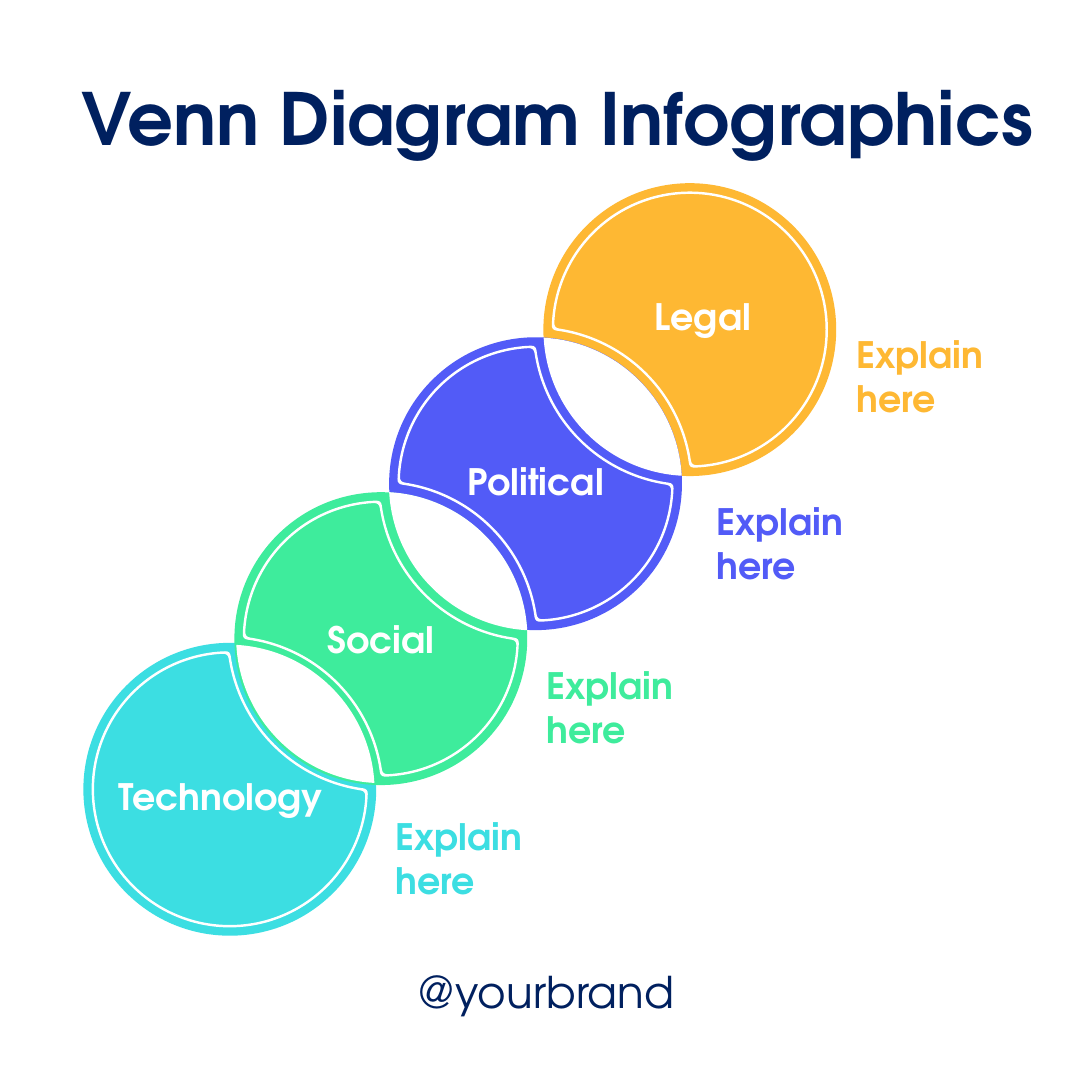
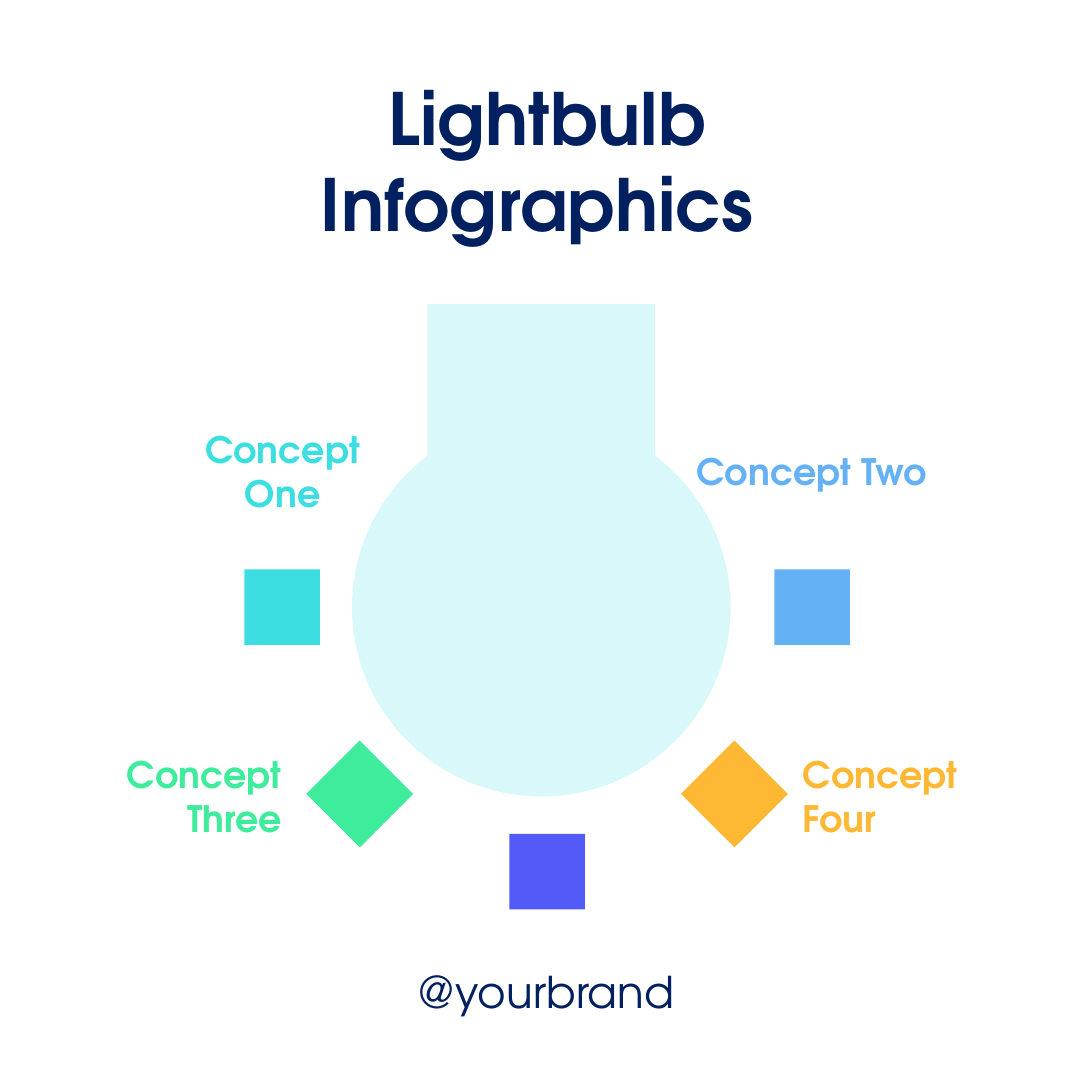
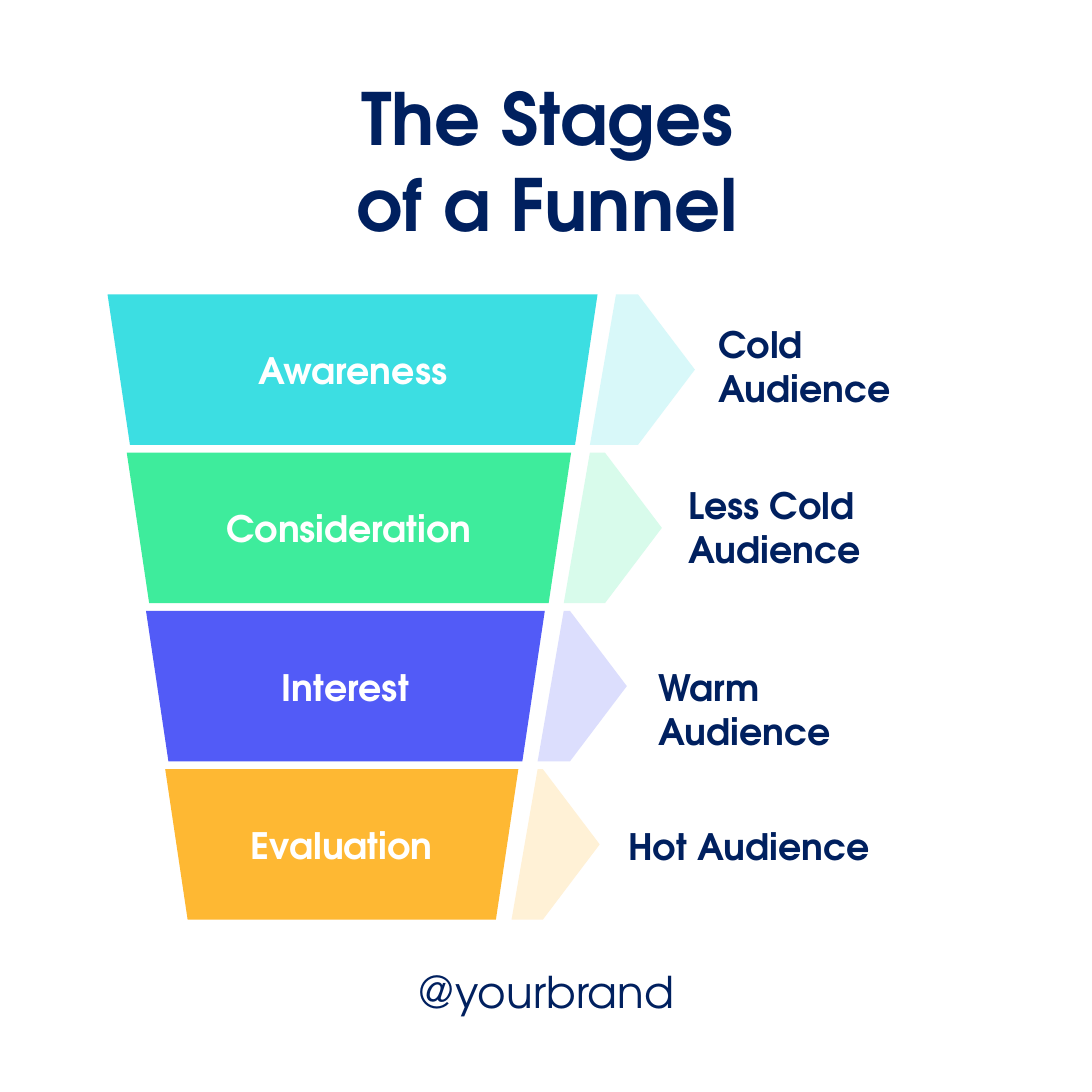
from dataclasses import dataclass
from math import acos, asin, atan2, ceil, cos, degrees, hypot, radians, sin, sqrt, tan

from pptx import Presentation
from pptx.dml.color import RGBColor
from pptx.enum.shapes import MSO_SHAPE as SHAPE
from pptx.enum.text import MSO_ANCHOR as ANCHOR, MSO_AUTO_SIZE as AUTO, PP_ALIGN as ALIGN
from pptx.oxml.ns import qn
from pptx.util import Pt

FONT = "TeX Gyre Adventor"
NAVY = RGBColor(0x00, 0x20, 0x5F)
WHITE = RGBColor(0xFF, 0xFF, 0xFF)
CYAN = RGBColor(0x3C, 0xDE, 0xE2)
GREEN = RGBColor(0x3E, 0xEC, 0x9C)
INDIGO = RGBColor(0x52, 0x5B, 0xF7)
AMBER = RGBColor(0xFE, 0xB8, 0x33)
SKY = RGBColor(0x65, 0xB1, 0xF5)
PALE_CYAN = RGBColor(0xD8, 0xF8, 0xF9)
PALE_GREEN = RGBColor(0xD8, 0xFB, 0xEB)
PALE_INDIGO = RGBColor(0xDC, 0xDE, 0xFD)
PALE_AMBER = RGBColor(0xFF, 0xF1, 0xD6)

SIDE = 540
TITLE_SIZE, LABEL_SIZE, FOOTER_SIZE = 35.6, 18, 21.6
LABEL_H = 29

Point = tuple[float, float]
# The first step holds the start; later ones hold one point (line) or three (curve).
Contour = list[tuple[Point, ...]]


@dataclass(frozen=True)
class Circle:
    name: str
    color: RGBColor
    center: Point
    name_at: Point  # middle of the top edge
    name_width: float
    note_at: Point  # top left corner
    cuts: tuple[int, ...]  # directions of the neighbours along the chain


@dataclass(frozen=True)
class Concept:
    text: str
    color: RGBColor
    center: Point
    turn: int = 0
    text_at: Point = (0, 0)
    align: ALIGN = ALIGN.CENTER


@dataclass(frozen=True)
class Stage:
    name: str
    audience: str
    color: RGBColor
    pale: RGBColor
    shoulder: float
    audience_top: float
    audience_height: float = 51


# Along the chain, 0 points to the lower left and -180 to the upper right.
CIRCLES = (
    Circle("Legal", AMBER, (341.1, 163), (347.5, 141.8), 63.4, (416.5, 160.6), (0,)),
    Circle("Political", INDIGO, (264.8, 239.2), (265, 223.5), 84.2, (347.3, 243.4), (-180, 0)),
    Circle("Social", GREEN, (188.3, 315.8), (188.4, 301.4), 69.1, (263.2, 324.3), (-180, 0)),
    Circle("Technology", CYAN, (113.6, 390.3), (109.1, 379.4), 117.4, (188.6, 399.1), (-180,)),
)
CHAIN_ANGLE = 135
RADIUS = 72.4
SPACING = 76.3 * sqrt(2)
INSET = 4.7
RING_WIDTH = 1.2
CORNER = 2.5

MARKER = 37.4
CONCEPTS = (
    Concept("", INDIGO, (270.6, 431)),
    Concept("Concept Two", SKY, (401.6, 300.2), 0, (343.4, 210)),
    Concept("Concept One", CYAN, (139.5, 300.2), 0, (81.8, 210)),
    Concept("Concept Three", GREEN, (177.9, 392.6), 315, (24.2, 370.6), ALIGN.RIGHT),
    Concept("Concept Four", AMBER, (363.2, 392.6), 315, (396.2, 370.6), ALIGN.LEFT),
)

STAGES = (
    Stage("Awareness", "Cold Audience", CYAN, PALE_CYAN, 315.5, 155.9),
    Stage("Consideration", "Less Cold Audience", GREEN, PALE_GREEN, 299.2, 235.4),
    Stage("Interest", "Warm Audience", INDIGO, PALE_INDIGO, 281.9, 325.4),
    Stage("Evaluation", "Hot Audience", AMBER, PALE_AMBER, 268.5, 403.9, LABEL_H),
)


def polar(center: Point, radius: float, angle: float) -> Point:
    a = radians(angle)
    return center[0] + radius * cos(a), center[1] + radius * sin(a)


def mix(a: Point, b: Point, t: float) -> Point:
    return a[0] + (b[0] - a[0]) * t, a[1] + (b[1] - a[1]) * t


def arc(center: Point, radius: float, start: float, end: float) -> Contour:
    """Bezier arc, split where it crosses an axis."""
    low, high = min(start, end), max(start, end)
    stops = [90 * q for q in range(ceil((low + 1) / 90), ceil((high - 1) / 90))]
    stops = [start, *(stops if start < end else stops[::-1]), end]
    steps: Contour = [(polar(center, radius, start),)]
    for a, b in zip(stops, stops[1:]):
        reach = 4 / 3 * tan(radians(b - a) / 4) * radius
        p, q = polar(center, radius, a), polar(center, radius, b)
        steps.append((polar(p, reach, a + 90), polar(q, -reach, b + 90), q))
    return steps


def polygon(*points: Point) -> Contour:
    return [(pt,) for pt in points]


def paint(sp, fill: RGBColor) -> None:
    sp.shadow.inherit = False
    sp.fill.solid()
    sp.fill.fore_color.rgb = fill
    sp.line.fill.background()


def add_outline(slide, fill: RGBColor, *contours: Contour):
    builder = None
    for contour in contours:
        start, *rest = [(Pt(x), Pt(y)) for step in contour for x, y in step]
        if builder is None:
            builder = slide.shapes.build_freeform(*start)
        else:
            builder.move_to(*start)
        builder.add_line_segments(rest, close=True)
    sp = builder.convert_to_shape()
    paint(sp, fill)
    nodes = iter(sp._element.findall(".//" + qn("a:lnTo")))
    for step in (step for contour in contours for step in contour[1:]):
        group = [next(nodes) for _ in step]
        if len(group) == 3:
            curve = group[0].makeelement(qn("a:cubicBezTo"))
            group[0].addprevious(curve)
            for node in group:
                curve.append(node[0])
                node.getparent().remove(node)
    return sp


def pad(sp, margin: int) -> None:
    """Widen the frame of a freeform while its outline stays in place."""
    geometry = sp._element.find(".//" + qn("a:path"))
    for key in ("w", "h"):
        geometry.set(key, str(int(geometry.get(key)) + 2 * margin))
    for pt in geometry.iter(qn("a:pt")):
        for key in ("x", "y"):
            pt.set(key, str(int(pt.get(key)) + margin))
    sp.left, sp.top = sp.left - margin, sp.top - margin
    sp.width, sp.height = sp.width + 2 * margin, sp.height + 2 * margin


def swing(sp, pivot: Point) -> None:
    """Turn a shape about a point by the angle of the chain."""
    px, py = Pt(pivot[0]), Pt(pivot[1])
    dx, dy = sp.left + sp.width / 2 - px, sp.top + sp.height / 2 - py
    x, y = polar((px, py), hypot(dx, dy), degrees(atan2(dy, dx)) + CHAIN_ANGLE)
    sp.left, sp.top = round(x - sp.width / 2), round(y - sp.height / 2)
    sp.rotation = CHAIN_ANGLE


def write(tf, lines: tuple[str, ...], size: float, color: RGBColor,
          align: ALIGN, bold: bool = True) -> None:
    tf.word_wrap = True
    for i, line in enumerate(lines):
        p = tf.add_paragraph() if i else tf.paragraphs[0]
        p.alignment = align
        r = p.add_run()
        r.text = line
        r.font.name, r.font.size, r.font.bold = FONT, Pt(size), bold
        r.font.color.rgb = color


def add_text(slide, box: tuple[float, float, float, float], *lines: str, color: RGBColor,
             size: float = LABEL_SIZE, align: ALIGN = ALIGN.LEFT, bold: bool = True):
    tf = slide.shapes.add_textbox(*(Pt(v) for v in box)).text_frame
    write(tf, lines, size, color, align, bold)
    tf.auto_size = AUTO.SHAPE_TO_FIT_TEXT
    return tf


def add_label(slide, text: str, middle: float, top: float, width: float):
    """White label centred on a vertical line."""
    return add_text(slide, (middle - width / 2, top, width, LABEL_H), text,
                    color=WHITE, align=ALIGN.CENTER)


def new_slide(prs, *title: str, left: float = 40.3, width: float = 460.8):
    slide = prs.slides.add_slide(prs.slide_layouts[5])
    add_text(slide, (171, 473.8, 198, 33), "@yourbrand", color=NAVY,
             size=FOOTER_SIZE, align=ALIGN.CENTER, bold=False)
    sp = slide.shapes.title
    sp.left, sp.top, sp.width = Pt(left), Pt(32.7), Pt(width)
    sp.height = Pt(7.2 + 43 * len(title))
    tf = sp.text_frame
    tf.vertical_anchor = ANCHOR.TOP
    tf.auto_size = AUTO.NONE
    write(tf, title, TITLE_SIZE, NAVY, ALIGN.CENTER)
    return slide


def lens(center: Point) -> Contour:
    """Overlap of two circles that are SPACING apart."""
    half = degrees(acos(SPACING / 2 / RADIUS))
    left, right = (arc(polar(center, SPACING / 2, a + 180), RADIUS, a - half, a + half)
                   for a in (180, 0))
    return left + right[1:]


def inner_edge(circle: Circle, inset: float) -> Contour:
    """Inset border of a circle, notched towards its neighbours, with soft corners."""
    outer, notch = RADIUS - inset, RADIUS + inset
    alpha = degrees(acos((SPACING**2 + outer**2 - notch**2) / (2 * SPACING * outer)))
    beta = degrees(acos((SPACING**2 + notch**2 - outer**2) / (2 * SPACING * notch)))
    arcs = []
    following = circle.cuts[1:] + (circle.cuts[0] + 360,)
    for cut, after in zip(circle.cuts, following):
        arcs.append((circle.center, outer, cut + alpha, after - alpha))
        arcs.append((polar(circle.center, SPACING, after), notch,
                     after + 180 + beta, after + 180 - beta))
    sides = []
    for center, radius, start, end in arcs:
        trim = degrees(CORNER / radius) * (1 if end > start else -1)
        sides.append((arc(center, radius, start + trim, end - trim), polar(center, radius, end)))
    contour: Contour = [sides[0][0][0]]
    for i, (side, corner) in enumerate(sides):
        a, b = side[-1][-1], sides[(i + 1) % len(sides)][0][0][0]
        contour += side[1:]
        contour.append((mix(a, corner, 2 / 3), mix(b, corner, 2 / 3), b))
    return contour


def venn_slide(prs) -> None:
    slide = new_slide(prs, "Venn Diagram Infographics", left=23, width=505.4)
    for c in (CIRCLES[-1], *CIRCLES[:-1]):
        disc = add_outline(slide, c.color, arc(c.center, RADIUS, 0, 360))
        pad(disc, Pt(RADIUS * (sqrt(2) - 1)))
        swing(disc, c.center)
        ring = add_outline(slide, WHITE, inner_edge(c, INSET - RING_WIDTH / 2),
                           inner_edge(c, INSET + RING_WIDTH / 2))
        swing(ring, c.center)
    for high, low in zip(CIRCLES, CIRCLES[1:]):
        middle = mix(high.center, low.center, 0.5)
        swing(add_outline(slide, WHITE, lens(middle)), middle)
    for c in CIRCLES:
        add_label(slide, c.name, *c.name_at, c.name_width).word_wrap = False
    for c in CIRCLES:
        add_text(slide, (*c.note_at, 88.6, 51), "Explain", "here", color=c.color)


def bulb_slide(prs) -> None:
    slide = new_slide(prs, "Lightbulb", "Infographics ")
    center, radius, neck, top = (267.7, 300.2), 93.6, 56.2, 150.4
    gap = degrees(asin(neck / radius))
    add_outline(slide, PALE_CYAN, [
        *polygon((center[0] - neck, top), (center[0] + neck, top)),
        *arc(center, radius, gap - 90, 270 - gap)])
    for c in CONCEPTS:
        x, y = c.center
        sp = slide.shapes.add_shape(SHAPE.RECTANGLE, Pt(x - MARKER / 2), Pt(y - MARKER / 2),
                                    Pt(MARKER), Pt(MARKER))
        sp.rotation = c.turn
        paint(sp, c.color)
    for c in CONCEPTS:
        if c.text:
            tf = add_text(slide, (*c.text_at, 115.9, 46), c.text, color=c.color, align=c.align)
            tf.vertical_anchor = ANCHOR.MIDDLE
            tf.margin_left = tf.margin_right = tf.margin_top = tf.margin_bottom = Pt(0.7)


def funnel_slide(prs) -> None:
    slide = new_slide(prs, "The Stages", "of a Funnel")
    height, pitch, slant = 74.4, 78.25, 11.1
    for i, s in enumerate(STAGES):
        top = 145.6 + pitch * i
        bottom = top + height
        left, right = 53.2 + 9.5 * i, 295.5 - 13.05 * i
        arrow = 304.6 - 12.9 * i
        add_outline(slide, s.pale, polygon(
            (arrow, top), (s.shoulder, top), (s.shoulder + 28.1, top + height / 2),
            (s.shoulder, bottom), (arrow - 12.9, bottom)))
        add_outline(slide, s.color, polygon(
            (left, top), (right, top), (right - slant, bottom), (left + slant, bottom)))
        add_label(slide, s.name, (left + right) / 2, top + 23, 146)
        add_text(slide, (348.2 - 14.9 * i, s.audience_top, 141.8, s.audience_height),
                 s.audience, color=NAVY)


def main() -> None:
    prs = Presentation()
    prs.slide_width = prs.slide_height = Pt(SIDE)
    venn_slide(prs)
    bulb_slide(prs)
    funnel_slide(prs)
    prs.save("out.pptx")


if __name__ == "__main__":
    main()
